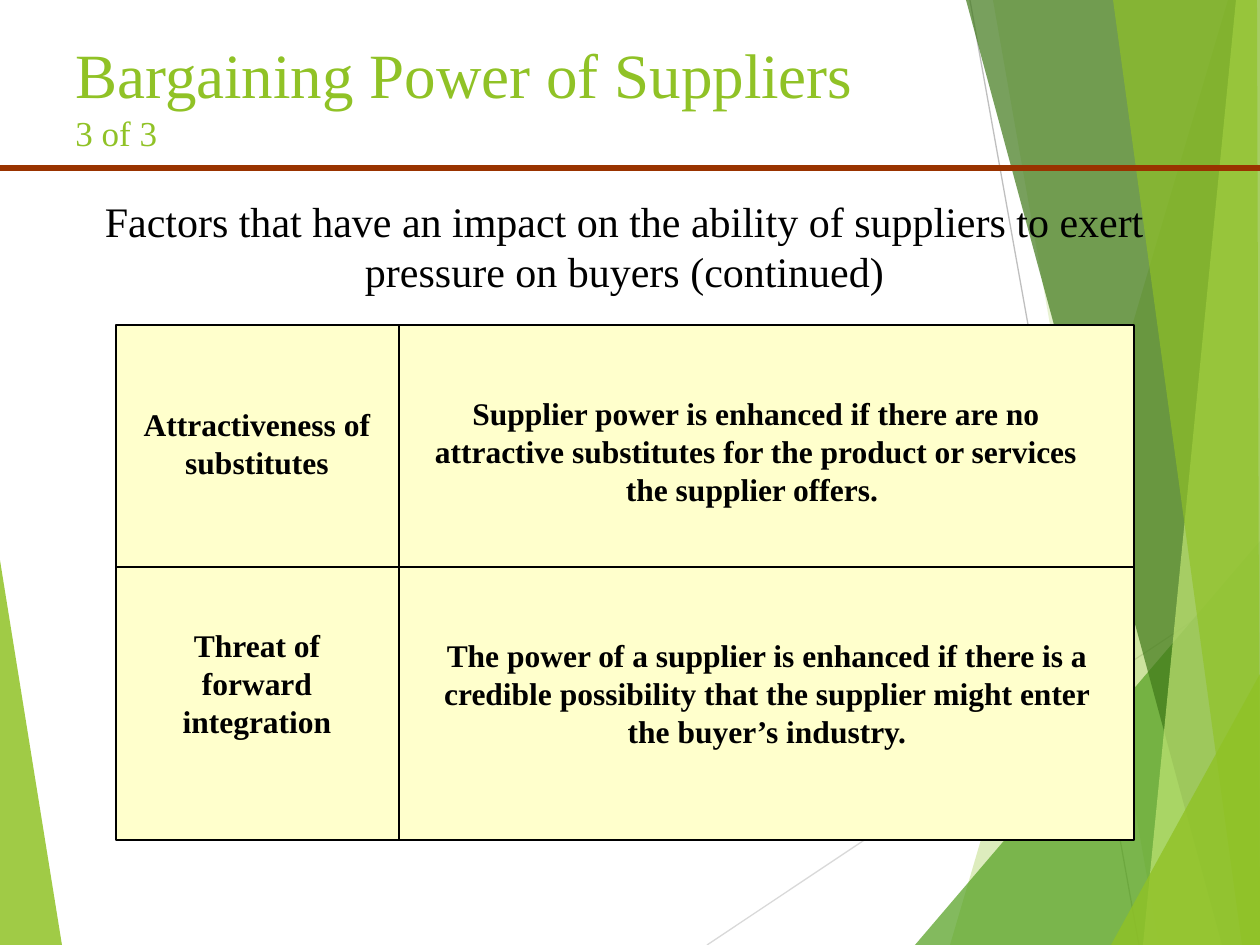
import pptx
import pptx.util
import pptx.dml.color
import pptx.enum.shapes
import pptx.enum.text
import pptx.oxml.ns
import lxml.etree

WIDTH, HEIGHT = 1260, 945
EMU_PER_PX = 914400 / 126
FONT = "Times New Roman"
COLORS = {
    "lime": "90C226",
    "green": "54A021",
    "forest": "3F7819",
    "pale": "C0E474",
    "light_gray": "D9D9D9",
    "gray": "BFBFBF",
    "rust": "993300",
    "cream": "FFFFCC",
    "black": "000000",
}


def emu(px):
    return pptx.util.Emu(round(px * EMU_PER_PX))


def rgb(name):
    return pptx.dml.color.RGBColor.from_string(COLORS[name])


class SlideBuilder:
    def __init__(self, page):
        self.page = page

    def facet(self, points, color, opacity):
        builder = self.page.shapes.build_freeform(*points[0], scale=EMU_PER_PX)
        builder.add_line_segments(points[1:], close=True)
        shape = builder.convert_to_shape()
        shape.shadow.inherit = False
        shape.fill.solid()
        shape.fill.fore_color.rgb = rgb(color)
        shape.line.fill.background()
        qn = pptx.oxml.ns.qn
        fill_color = shape.fill._xPr.find(qn("a:solidFill")).find(qn("a:srgbClr"))
        alpha = lxml.etree.SubElement(fill_color, qn("a:alpha"))
        alpha.set("val", str(opacity * 1000))

    def line(self, start, end, color, weight=0.75):
        connector = self.page.shapes.add_connector(
            pptx.enum.shapes.MSO_CONNECTOR.STRAIGHT,
            *map(emu, start + end),
        )
        connector.line.color.rgb = rgb(color)
        connector.line.width = pptx.util.Pt(weight)
        properties = connector._element.spPr
        lxml.etree.SubElement(properties, pptx.oxml.ns.qn("a:effectLst"))

    def panel(self, left, top, width, height):
        shape = self.page.shapes.add_shape(
            pptx.enum.shapes.MSO_SHAPE.RECTANGLE,
            *map(emu, (left, top, width, height)),
        )
        shape.shadow.inherit = False
        shape.fill.solid()
        shape.fill.fore_color.rgb = rgb("cream")
        shape.line.color.rgb = rgb("black")
        shape.line.width = pptx.util.Pt(0.75)

    def text(self, area, words, sizes, color="black", bold=False, centered=True):
        box = self.page.shapes.add_textbox(*map(emu, area))
        frame = box.text_frame
        frame.word_wrap = True
        frame.text = words
        para = frame.paragraphs[0]
        align = pptx.enum.text.PP_ALIGN
        para.alignment = align.CENTER if centered else align.LEFT
        for span, size in zip(para.runs, sizes):
            span.font.name = FONT
            span.font.size = pptx.util.Pt(size)
            span.font.bold = bold
            span.font.color.rgb = rgb(color)
        return frame


def main():
    deck = pptx.Presentation()
    deck.slide_width, deck.slide_height = emu(WIDTH), emu(HEIGHT)
    slide = SlideBuilder(deck.slides.add_slide(deck.slide_layouts[6]))

    slide.facet([(0, 560), (62, HEIGHT), (0, HEIGHT)], "lime", 85)
    slide.line((707, HEIGHT), (WIDTH, 576), "light_gray")
    slide.line((970, 0), (1139, HEIGHT), "gray")

    right_edge = [(WIDTH, HEIGHT), (WIDTH, 0)]
    facets = [
        ([(1228, 0), (950, HEIGHT)] + right_edge, "lime", 30),
        ([(993, 0), (1159, HEIGHT)] + right_edge, "lime", 20),
        ([(915, HEIGHT), (WIDTH, 541), (WIDTH, HEIGHT)], "green", 72),
        ([(966, 0), (1222, HEIGHT)] + right_edge, "forest", 70),
        ([(1236, 0), (1143, HEIGHT)] + right_edge, "pale", 70),
        ([(1113, 0), (1242, HEIGHT), (WIDTH, HEIGHT), (1257, 0)], "lime", 65),
        ([(1111, HEIGHT), (WIDTH, 674), (WIDTH, HEIGHT)], "lime", 80),
    ]
    for points, color, opacity in facets:
        slide.facet(points, color, opacity)

    title = slide.text(
        (63, 21, 1134, 158),
        "Bargaining Power of Suppliers\v3 of 3",
        (36, 20),
        color="lime",
        centered=False,
    )
    title.margin_top = emu(15)
    slide.line((0, 168), (WIDTH, 168), "rust", 3)
    slide.text(
        (84, 189, 1081, 113),
        "Factors that have an impact on the ability of suppliers to exert "
        "pressure on buyers (continued)",
        (24,),
    )

    left, top, right, bottom = 116, 325, 1134, 840
    row_split, column_split = 567, 399
    slide.panel(left, top, right - left, bottom - top)
    slide.line((left, row_split), (right, row_split), "black")
    slide.line((column_split, top), (column_split, bottom), "black")

    cells = [
        ((126, 399, 262, 88), "Attractiveness of substitutes"),
        ((126, 620, 262, 126), "Threat of forward integration"),
        (
            (410, 630, 714, 126),
            "The power of a supplier is enhanced if there is a credible "
            "possibility that the supplier might enter the buyer’s industry.",
        ),
        (
            (399, 388, 714, 126),
            "Supplier power is enhanced if there are no attractive substitutes "
            "for the product or services the supplier offers. ",
        ),
    ]
    for area, words in cells:
        slide.text(area, words, (18,), bold=True)

    deck.save("out.pptx")


if __name__ == "__main__":
    main()
